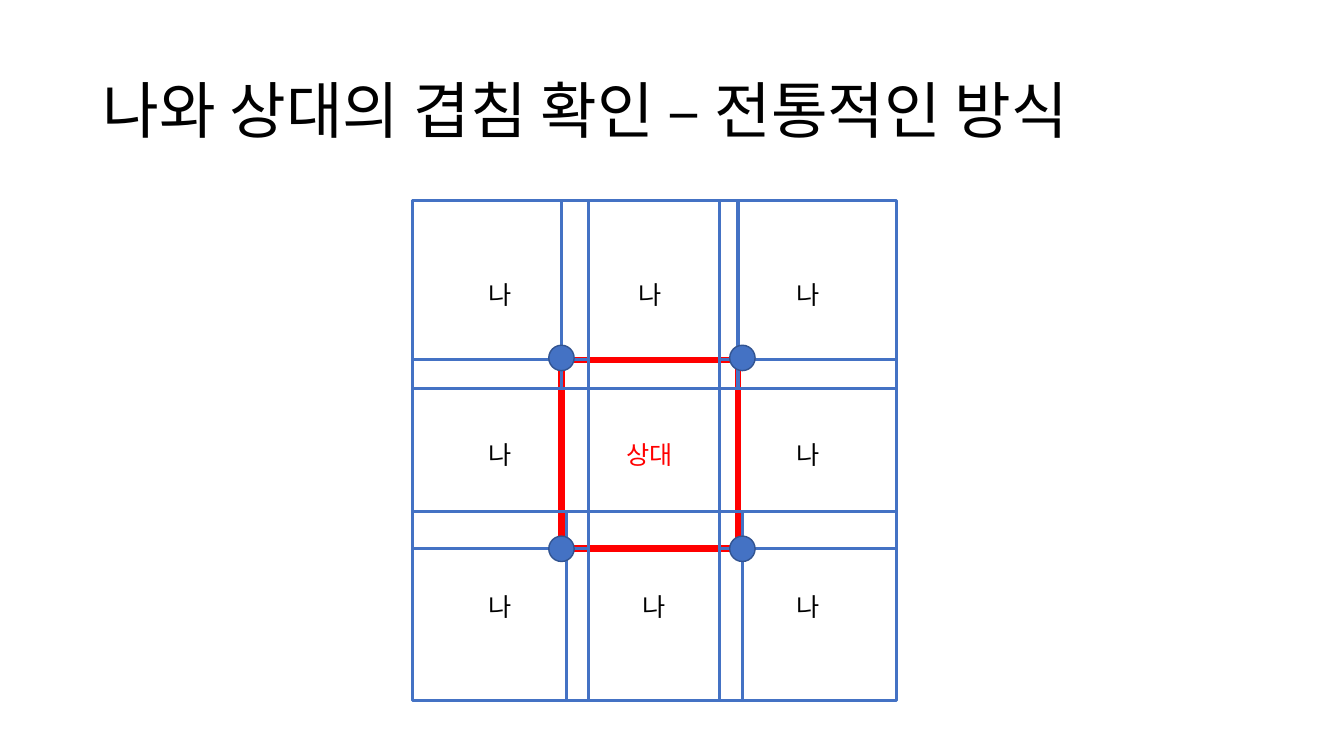
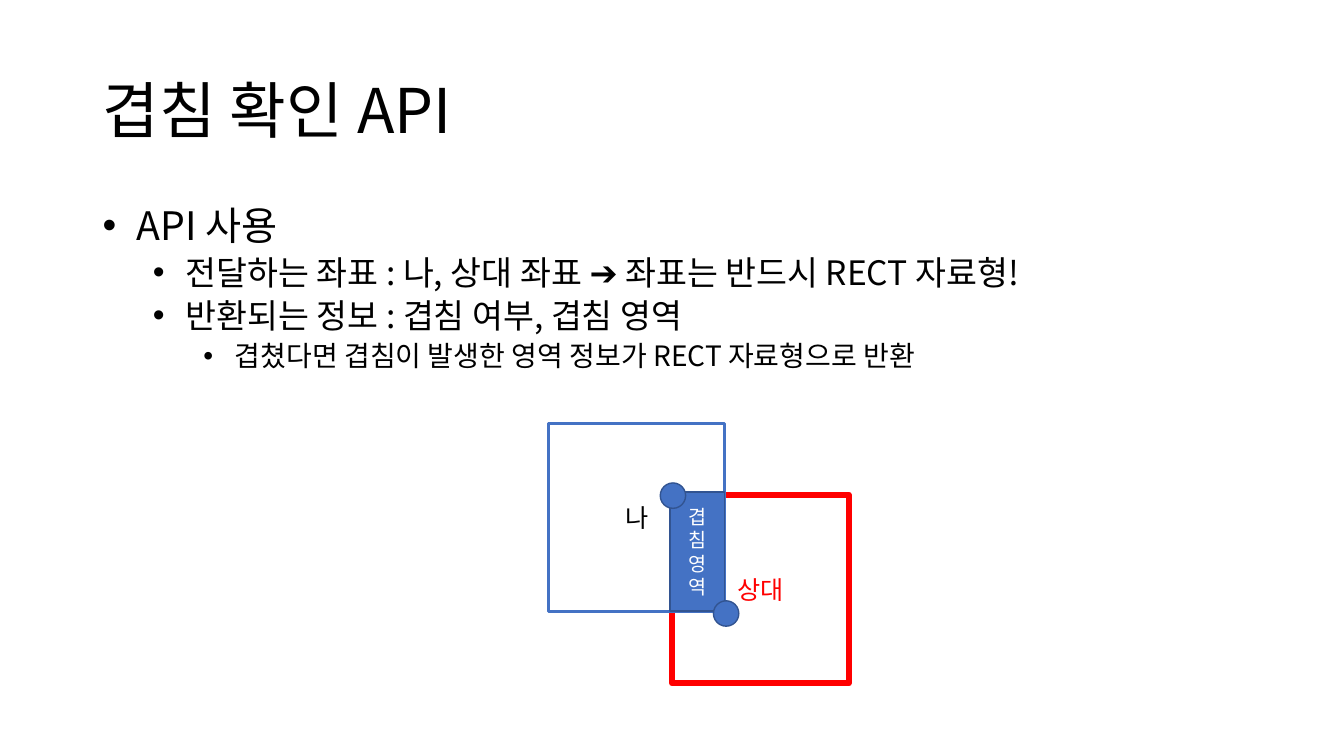
from itertools import product

from lxml.etree import SubElement
from pptx import Presentation
from pptx.dml.color import RGBColor
from pptx.enum.shapes import MSO_SHAPE as SHAPE
from pptx.enum.text import MSO_ANCHOR as ANCHOR, MSO_AUTO_SIZE as FIT, PP_ALIGN as ALIGN
from pptx.oxml.ns import qn
from pptx.util import Cm, Pt

FONT = "Noto Sans CJK KR"
COLORS = {"text": "000000", "me": "4472C4", "other": "FF0000",
          "edge": "325491", "white": "FFFFFF"}
BOX_W, BOX_H, DOT = 4.45, 4.75, 0.64


def add_run(p, text, size, color="text"):
    r = p.add_run()
    r.text = text
    r.font.name = FONT
    r.font.size = Pt(size)
    r.font.color.rgb = RGBColor.from_string(COLORS[color])
    SubElement(r.font._element, qn("a:ea")).set("typeface", FONT)


def add_figure(s, kind, x, y, w, h, line, weight, fill=None, text="", size=18, color="text"):
    sp = s.shapes.add_shape(kind, Cm(x), Cm(y), Cm(w), Cm(h))
    sp.shadow.inherit = False
    sp.line.color.rgb = RGBColor.from_string(COLORS[line])
    sp.line.width = Pt(weight)
    if fill:
        sp.fill.solid()
        sp.fill.fore_color.rgb = RGBColor.from_string(COLORS[fill])
    else:
        sp.fill.background()
    if text:
        tf = sp.text_frame
        tf.word_wrap = True
        tf.vertical_anchor = ANCHOR.MIDDLE
        p = tf.paragraphs[0]
        p.alignment = ALIGN.CENTER
        add_run(p, text, size, color)


prs = Presentation()
prs.slide_width, prs.slide_height = Cm(33.87), Cm(19.05)

# Slides with their titles
slides = []
for layout, title in [(5, "나와 상대의 겹침 확인 – 전통적인 방식"), (1, "겹침 확인 API")]:
    s = prs.slides.add_slide(prs.slide_layouts[layout])
    sp = s.shapes.title
    sp.left, sp.top, sp.width, sp.height = Cm(2.33), Cm(1.01), Cm(29.21), Cm(3.68)
    tf = sp.text_frame
    tf.auto_size = FIT.NONE
    tf.vertical_anchor = ANCHOR.MIDDLE
    p = tf.paragraphs[0]
    p.alignment = ALIGN.LEFT
    p.line_spacing = 0.9
    add_run(p, title, 44)
    slides.append(s)
grid_slide, api_slide = slides

# Slide 1: the other box, surrounded by eight positions of mine
columns, rows = (10.39, 14.15, 18.14), (5.05, 9.07, 12.9)
add_figure(grid_slide, SHAPE.RECTANGLE, columns[1], rows[1], BOX_W, BOX_H,
           "other", 4.5, text="상대", color="other")
for row, col in product(range(3), range(3)):
    if (row, col) == (1, 1):
        continue
    x = 14.27 if (row, col) == (2, 1) else columns[col]
    add_figure(grid_slide, SHAPE.RECTANGLE, x, rows[row], BOX_W, BOX_H, "me", 2.25, text="나")

# Slide 1: corner points
for x, y in product((13.83, 18.39), (8.7, 13.51)):
    add_figure(grid_slide, SHAPE.OVAL, x, y, DOT, DOT, "edge", 1, fill="me")

# Slide 2: bullet list
body = api_slide.placeholders[1]
body.left, body.top, body.width, body.height = Cm(2.33), Cm(5.08), Cm(29.21), Cm(5.03)
tf = body.text_frame
tf.auto_size = FIT.NONE
items = [
    (0, " API 사용"),
    (1, " 전달하는 좌표 : 나, 상대 좌표 ➔ 좌표는 반드시 RECT 자료형!"),
    (1, " 반환되는 정보 : 겹침 여부, 겹침 영역"),
    (2, " 겹쳤다면 겹침이 발생한 영역 정보가 RECT 자료형으로 반환"),
]
for i, (level, text) in enumerate(items):
    p = tf.add_paragraph() if i else tf.paragraphs[0]
    p.level = level
    p.line_spacing = 0.9
    p.space_before = Pt(5 if level else 10)
    pPr = p._p.get_or_add_pPr()
    pPr.set("marL", str(Cm(0.635 + 1.27 * level)))
    pPr.set("indent", str(Cm(-0.635)))
    SubElement(pPr, qn("a:buFont")).set("typeface", "Arial")
    SubElement(pPr, qn("a:buChar")).set("char", "•")
    add_run(p, text, 28 - 4 * level)

# Slide 2: two boxes and their overlap
add_figure(api_slide, SHAPE.RECTANGLE, 16.94, 12.47, BOX_W, BOX_H,
           "other", 4.5, text="상대", color="other")
add_figure(api_slide, SHAPE.RECTANGLE, 13.82, 10.67, BOX_W, BOX_H, "me", 2.25, text="나")
add_figure(api_slide, SHAPE.RECTANGLE, 16.89, 12.4, 1.37, 3, "edge", 1,
           fill="me", text="겹침 영역", size=14, color="white")
for x, y in [(16.64, 12.17), (17.98, 15.14)]:
    add_figure(api_slide, SHAPE.OVAL, x, y, DOT, DOT, "edge", 1, fill="me")

prs.save("out.pptx")
